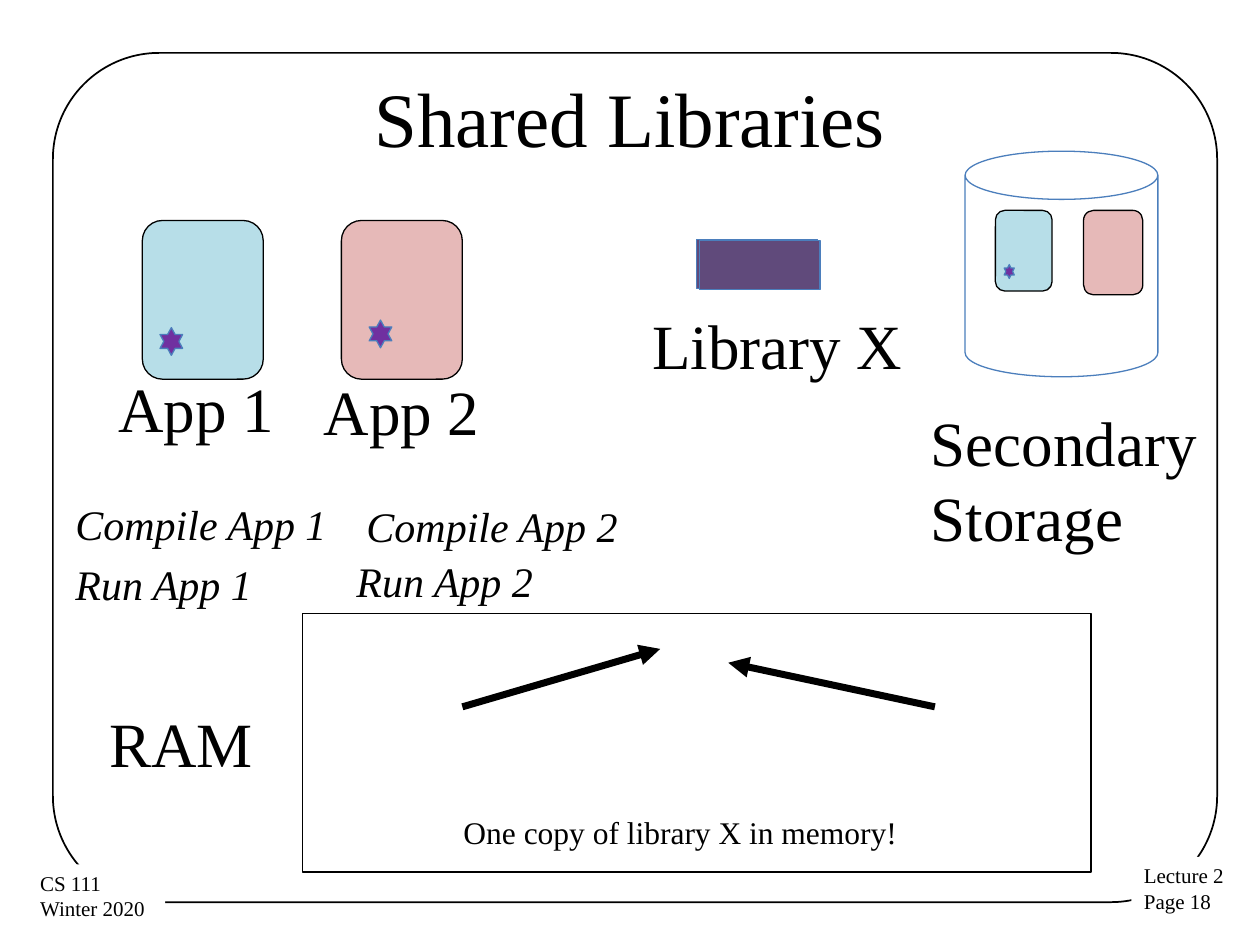
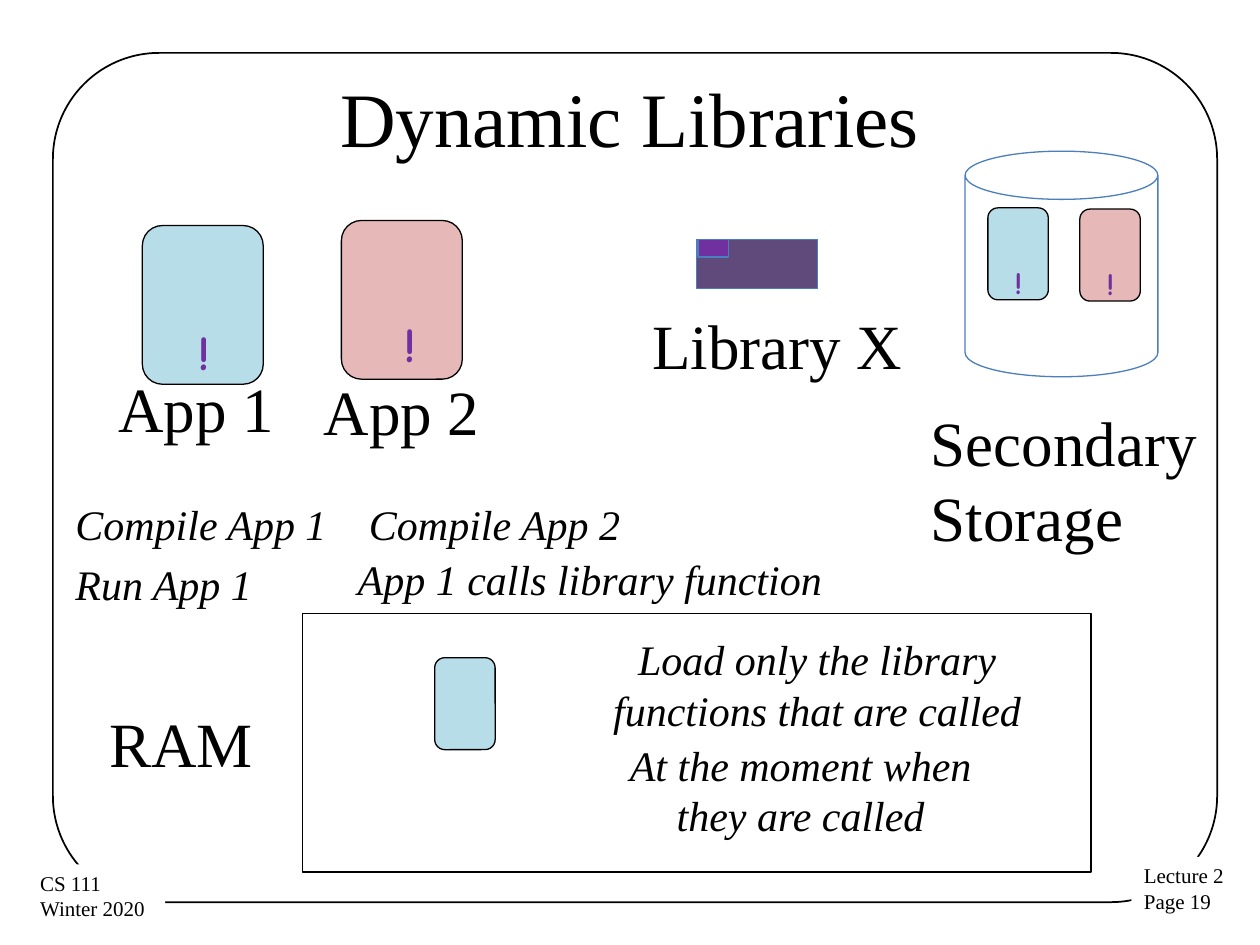
import pptx
import pptx.util
import pptx.dml.color
import pptx.enum.shapes
import pptx.enum.text
import pptx.oxml.ns
import lxml.etree

Inches = pptx.util.Inches
Kind = pptx.enum.shapes.MSO_SHAPE
Anchor = pptx.enum.text.MSO_ANCHOR
Align = pptx.enum.text.PP_ALIGN

SERIF, COMIC = "Times New Roman", "Comic Neue"
BLACK, WHITE, EDGE = "000000", "FFFFFF", "4B7EBC"
BLUE, PINK, PLUM, PURPLE = "B7DEE8", "E6B9B8", "604A7B", "7030A0"
APP_SIZE = (0.96, 1.26)
LIBRARY_SIZE = (0.96, 0.39)
STORED_SIZE = (0.48, 0.73)
STAR_SIZE = (0.18, 0.22)

# Content shared by both slides: text, (left, top, width, height)
LABELS = [
    ("RAM", (0.77, 5.54, 1.35, 0.71)),
    ("App 1", (0.84, 2.88, 1.45, 0.71)),
    ("App 2", (2.47, 2.91, 1.45, 0.71)),
    ("Library X", (5.08, 2.38, 2.21, 0.71)),
    ("Secondary\nStorage", (7.29, 3.15, 2.33, 1.31)),
]
SHARED_STEPS = [
    ("Compile App 1", (0.5, 3.91, 2.21, 0.5)),
    ("Run App 1", (0.5, 4.38, 1.62, 0.5)),
]

# Content of each slide; shapes are (kind, place, fill, line)
SLIDES = [
    {
        "title": "Shared Libraries",
        "page": 18,
        "app1_top": 1.75,
        "steps": [
            ("Compile App 2", (2.81, 3.92, 2.21, 0.5)),
            ("Run App 2", (2.73, 4.36, 1.62, 0.5)),
        ],
        "shapes": [
            (Kind.STAR_6_POINT, (1.27, 2.6, *STAR_SIZE), PURPLE, EDGE),
            (Kind.STAR_6_POINT, (2.93, 2.54, *STAR_SIZE), PURPLE, EDGE),
            (Kind.ROUNDED_RECTANGLE, (7.9, 1.67, 0.45, 0.64), BLUE, BLACK),
            (Kind.STAR_6_POINT, (7.97, 2.1, 0.08, 0.11), PURPLE, EDGE),
            (Kind.RECTANGLE, (5.55, 1.91, *LIBRARY_SIZE), PLUM, EDGE),
            (Kind.ROUNDED_RECTANGLE, (8.6, 1.67, 0.47, 0.67), PINK, BLACK),
        ],
        "arrows": [((3.67, 5.61), (5.24, 5.15)), ((7.42, 5.61), (5.78, 5.26))],
        "notes": [
            ("One copy of library X in memory!", (3.58, 6.4, 3.68, 0.4), {"size": 18}),
        ],
    },
    {
        "title": "Dynamic Libraries",
        "page": 19,
        "app1_top": 1.79,
        "steps": [
            ("Compile App 2", (2.83, 3.91, 2.21, 0.5)),
            ("App 1 calls library function", (2.74, 4.34, 3.92, 0.5)),
        ],
        "shapes": [
            (Kind.ROUNDED_RECTANGLE, (8.57, 1.66, *STORED_SIZE), PINK, BLACK),
            (Kind.ROUNDED_RECTANGLE, (7.84, 1.65, *STORED_SIZE), BLUE, BLACK),
            (Kind.ROUNDED_RECTANGLE, (3.45, 5.22, *STORED_SIZE), BLUE, BLACK),
            (Kind.RECTANGLE, (5.54, 1.9, 0.24, 0.14), PURPLE, EDGE),
        ],
        "marks": [
            ((1.47, 2.5, 0.29, 0.57), 28),
            ((3.1, 2.44, 0.29, 0.57), 28),
            ((8.68, 2.05, 0.26, 0.4), 18),
            ((7.95, 2.04, 0.26, 0.4), 18),
        ],
        "notes": [
            (text, place, {"size": 24, "italic": True, "align": Align.CENTER, "wrap": True})
            for text, place in [
                ("Load only the library functions that are called", (4.76, 4.98, 3.45, 0.91)),
                ("At the moment when they are called", (4.63, 5.82, 3.45, 0.91)),
            ]
        ],
    },
]


def color(code):
    return pptx.dml.color.RGBColor.from_string(code)


def add_text(page, text, place, size=36, font=SERIF, ink=BLACK, bold=False, italic=False,
             align=Align.LEFT, anchor=Anchor.TOP, wrap=False, fill=None):
    """Add a text box with one paragraph per line of text."""
    box = page.shapes.add_textbox(*map(Inches, place))
    if fill:
        box.fill.solid()
        box.fill.fore_color.rgb = color(fill)
    frame = box.text_frame
    frame.word_wrap = wrap
    frame.vertical_anchor = anchor
    for number, line in enumerate(text.split("\n")):
        para = frame.add_paragraph() if number else frame.paragraphs[0]
        para.alignment = align
        span = para.add_run()
        span.text = line
        span.font.name = font
        span.font.size = pptx.util.Pt(size)
        span.font.bold = bold
        span.font.italic = italic
        span.font.color.rgb = color(ink)


def add_box(page, kind, place, fill=None, line=BLACK, width=0.75):
    box = page.shapes.add_shape(kind, *map(Inches, place))
    box.shadow.inherit = False
    if fill:
        box.fill.solid()
        box.fill.fore_color.rgb = color(fill)
    else:
        box.fill.background()
    box.line.color.rgb = color(line)
    box.line.width = pptx.util.Pt(width)
    return box


def add_arrow(page, start, end):
    arrow = page.shapes.add_connector(
        pptx.enum.shapes.MSO_CONNECTOR.STRAIGHT, *map(Inches, start + end))
    arrow.line.color.rgb = color(BLACK)
    arrow.line.width = pptx.util.Pt(4)
    qn = pptx.oxml.ns.qn
    properties = arrow.line._get_or_add_ln()
    lxml.etree.SubElement(properties, qn("a:tailEnd"), type="triangle")
    lxml.etree.SubElement(properties.getparent(), qn("a:effectLst"))


def add_base(page, title, number):
    """Draw the rounded frame, both footers and the title."""
    border = add_box(page, Kind.ROUNDED_RECTANGLE, (0.42, 0.42, 9.24, 6.74), width=1)
    border.adjustments[0] = 0.125
    add_text(page, f"Lecture 2\nPage {number}", (8.98, 6.8, 0.85, 0.51), size=12, fill=WHITE)
    add_text(page, "CS 111\nWinter 2020", (0.22, 6.86, 1.09, 0.51), size=12, fill=WHITE)
    add_text(page, title, (0.5, 0.3, 9, 1.25), size=44, align=Align.CENTER,
             anchor=Anchor.MIDDLE, wrap=True)


def add_system(page, app1_top):
    """Draw memory, the two apps, the storage drum and the library."""
    add_box(page, Kind.RECTANGLE, (2.4, 4.87, 6.26, 2.05))
    add_box(page, Kind.ROUNDED_RECTANGLE, (1.13, app1_top, *APP_SIZE), BLUE)
    add_box(page, Kind.ROUNDED_RECTANGLE, (2.71, 1.75, *APP_SIZE), PINK)
    add_box(page, Kind.CAN, (7.66, 1.2, 1.53, 1.79), line=EDGE)
    add_box(page, Kind.RECTANGLE, (5.53, 1.9, *LIBRARY_SIZE), PLUM, EDGE)
    for text, place in LABELS:
        add_text(page, text, place)


def main():
    deck = pptx.Presentation()
    deck.slide_width, deck.slide_height = Inches(10), Inches(7.5)
    for content in SLIDES:
        page = deck.slides.add_slide(deck.slide_layouts[6])
        add_base(page, content["title"], content["page"])
        add_system(page, content["app1_top"])
        for text, place in SHARED_STEPS + content["steps"]:
            add_text(page, text, place, size=24, italic=True)
        for shape in content["shapes"]:
            add_box(page, *shape)
        for place, size in content.get("marks", []):
            add_text(page, "!", place, size=size, font=COMIC, ink=PURPLE, bold=True)
        for start, end in content.get("arrows", []):
            add_arrow(page, start, end)
        for text, place, style in content["notes"]:
            add_text(page, text, place, **style)
    deck.save("out.pptx")


if __name__ == "__main__":
    main()
